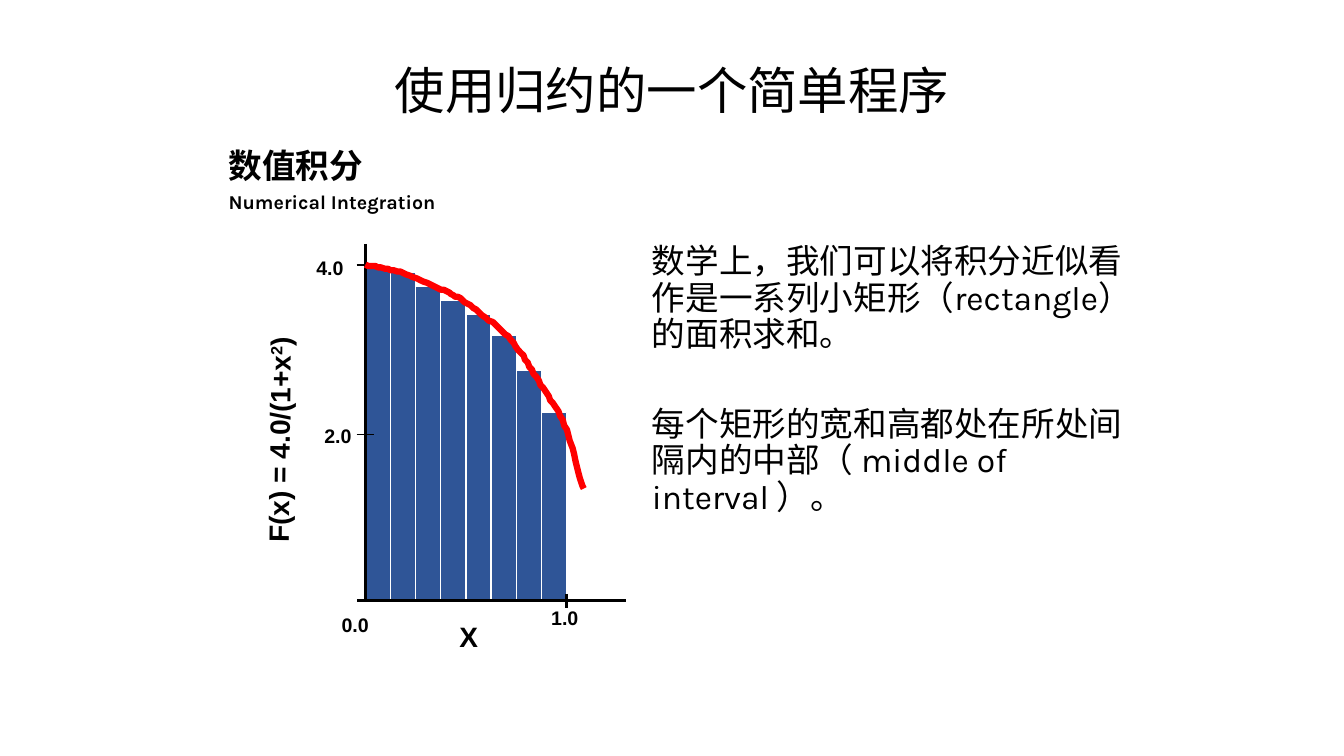
from typing import NamedTuple

from lxml import etree
from pptx import Presentation
from pptx import util as u
from pptx.dml.color import RGBColor
from pptx.enum import shapes, text
from pptx.oxml.ns import qn

Pt = u.Pt
COLORS = {"ink": "000000", "bar": "2F5597", "gap": "FFFFFF", "curve": "FF0000"}
BODY, LABEL = "Karla", "Arial"


class Run(NamedTuple):
    words: str
    size: float = 24
    font: str = BODY
    bold: bool = False
    baseline: int = 0


class Para(NamedTuple):
    runs: list[Run]
    before: float = 4.8
    align: text.PP_ALIGN = text.PP_ALIGN.LEFT
    spacing: float = 1.0


class Box(NamedTuple):
    left: float
    top: float
    width: float
    height: float
    paras: list[Para]
    anchor: text.MSO_ANCHOR = text.MSO_ANCHOR.TOP
    rotation: float = 0


class Stroke(NamedTuple):
    x1: float
    y1: float
    x2: float
    y2: float
    width: float


def apply(target, values: dict) -> None:
    for name, value in values.items():
        setattr(target, name, value)


def rgb(name: str) -> RGBColor:
    return RGBColor.from_string(COLORS[name])


def add_text(slide, box: Box) -> None:
    area = slide.shapes.add_textbox(*map(Pt, box[:4]))
    area.rotation = box.rotation
    frame = area.text_frame
    apply(frame, {"word_wrap": True, "vertical_anchor": box.anchor})
    for index, para in enumerate(box.paras):
        line = frame.add_paragraph() if index else frame.paragraphs[0]
        apply(line, {"space_before": Pt(para.before), "alignment": para.align,
                     "line_spacing": para.spacing})
        for run in para.runs:
            piece = line.add_run()
            piece.text = run.words
            apply(piece.font, {"size": Pt(run.size), "name": run.font, "bold": run.bold})
            piece.font.color.rgb = rgb("ink")
            if run.baseline:
                piece.font._element.set("baseline", str(run.baseline * 1000))


def add_stroke(slide, stroke: Stroke) -> None:
    line = slide.shapes.add_connector(shapes.MSO_CONNECTOR.STRAIGHT, *map(Pt, stroke[:4]))
    line.line.width = Pt(stroke.width)
    line.line.color.rgb = rgb("ink")
    etree.SubElement(line._element.spPr, qn("a:effectLst"))


def add_bar(slide, left: float, top: float, width: float, base: float) -> None:
    bar = slide.shapes.add_shape(shapes.MSO_SHAPE.RECTANGLE,
                                 *map(Pt, (left, top, width, base - top)))
    bar.shadow.inherit = False
    bar.fill.solid()
    bar.fill.fore_color.rgb = rgb("bar")
    bar.line.color.rgb = rgb("gap")
    bar.line.width = Pt(1)


def bezier(points: list[tuple[float, float]], steps: int = 12) -> list[tuple[float, float]]:
    """Sample a chain of cubic segments sharing their end points."""
    track = [points[0]]
    for start in range(0, len(points) - 1, 3):
        a, b, c, d = points[start:start + 4]
        for step in range(1, steps + 1):
            t = step / steps
            s = 1 - t
            track.append(tuple(s**3 * p + 3 * s * s * t * q + 3 * s * t * t * r + t**3 * v
                               for p, q, r, v in zip(a, b, c, d)))
    return track


def add_curve(slide, points: list[tuple[float, float]]) -> None:
    track = bezier(points)
    builder = slide.shapes.build_freeform(*track[0], scale=Pt(1))
    builder.add_line_segments(track[1:], close=False)
    curve = builder.convert_to_shape()
    curve.shadow.inherit = False
    curve.fill.background()
    curve.line.color.rgb = rgb("curve")
    curve.line.width = Pt(4.5)


def axis_label(left: float, top: float, words: str, size: float = 14) -> Box:
    return Box(left, top, 36, size + 10,
               [Para([Run(words, size, LABEL, True)], size / 2)])


deck = Presentation()
apply(deck, {"slide_width": Pt(960), "slide_height": Pt(540)})
slide = deck.slides.add_slide(deck.slide_layouts[6])

# Title, subtitle and explanation
title = Box(120, 21.6, 720, 90,
            [Para([Run("使用归约的一个简单程序", 36)], 0, text.PP_ALIGN.CENTER, 0.9)],
            text.MSO_ANCHOR.MIDDLE)
subtitle = Box(156.2, 105.8, 318.2, 50.4,
               [Para([Run("数值积分", bold=True)], spacing=0.9),
                Para([Run("Numerical Integration", 14, bold=True)], spacing=0.9)],
               text.MSO_ANCHOR.BOTTOM)
explanation = Box(458.6, 171.4, 372.2, 353.5, [
    Para([Run("数学上，我们可以将积分近似看作是一系列小矩形（rectangle）的面积求和。")],
         spacing=0.9),
    Para([Run("每个矩形的宽和高都处在所处间隔内的中部（", font=LABEL),
          Run(" middle of interval "), Run("）。", font=LABEL)], 38.5, spacing=0.9)])
for box in (title, subtitle, explanation):
    add_text(slide, box)

# Rectangles under the curve
ORIGIN_X, BASE_Y, BAR_WIDTH = 260.8, 429.2, 18
BAR_TOPS = [189.4, 194.4, 204.5, 214.6, 224.6, 239.8, 264.2, 294.5]
for index, top in enumerate(BAR_TOPS):
    add_bar(slide, ORIGIN_X + index * BAR_WIDTH, top, BAR_WIDTH, BASE_Y)

# Axes and ticks
TICK_LEFT, TICK_RIGHT = ORIGIN_X - 6, ORIGIN_X + 6
UNIT_X = ORIGIN_X + len(BAR_TOPS) * BAR_WIDTH
for stroke in (Stroke(ORIGIN_X, 174.2, ORIGIN_X, BASE_Y, 2.25),
               Stroke(TICK_LEFT, 189.4, TICK_RIGHT, 189.4, 1),
               Stroke(TICK_LEFT, 310.3, TICK_RIGHT, 310.3, 1),
               Stroke(447.1, BASE_Y, TICK_LEFT, BASE_Y, 2.25),
               Stroke(UNIT_X, BASE_Y - 5, UNIT_X, BASE_Y + 5, 2.25)):
    add_stroke(slide, stroke)

# Function curve
add_curve(slide, [
    (260.6, 189.4), (270, 190.8), (279.4, 192.2), (288, 195.1),
    (297.4, 198), (307.4, 203), (315.4, 206.6), (323.3, 210.2),
    (327.6, 212.4), (335.5, 218.2), (343.4, 223.9), (355, 232.6),
    (362.9, 240.5), (370.8, 249.1), (376.6, 259.2), (383, 269.3),
    (389.5, 280.1), (397.4, 290.2), (403.2, 303.8), (409, 316.8),
    (413.3, 342.7), (416.9, 349.2)])

# Axis labels
add_text(slide, Box(115.2, 295.2, 167.8, 31, [
    Para([Run("F(x) = 4.0/(1+x", 20, LABEL, True), Run("2", 20, LABEL, True, 30),
          Run(")", 20, LABEL, True)], 10)], rotation=270.6))
for label in (axis_label(218.9, 179.3, "4.0"), axis_label(224.6, 299.5, "2.0"),
              axis_label(386.6, 429.1, "1.0"), axis_label(321.1, 439.2, "X", 20),
              axis_label(236.9, 434.2, "0.0")):
    add_text(slide, label)

deck.save("out.pptx")
